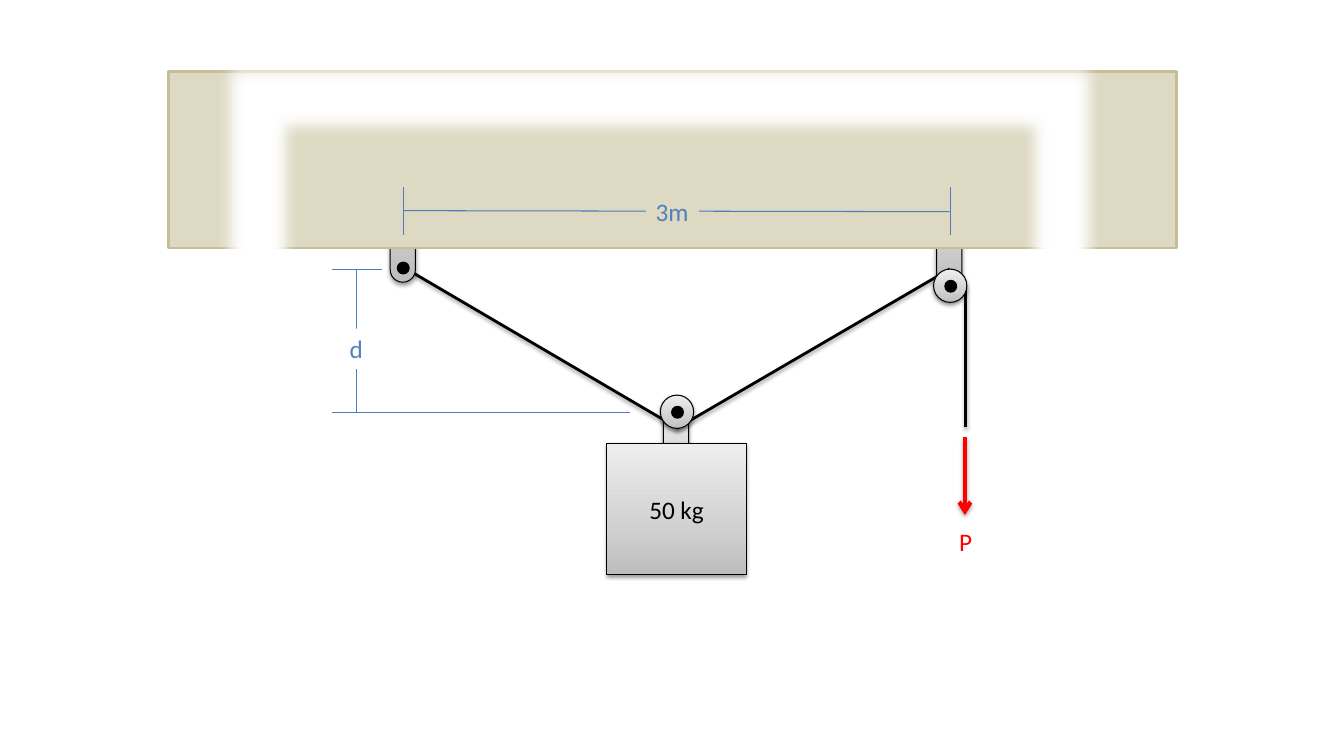
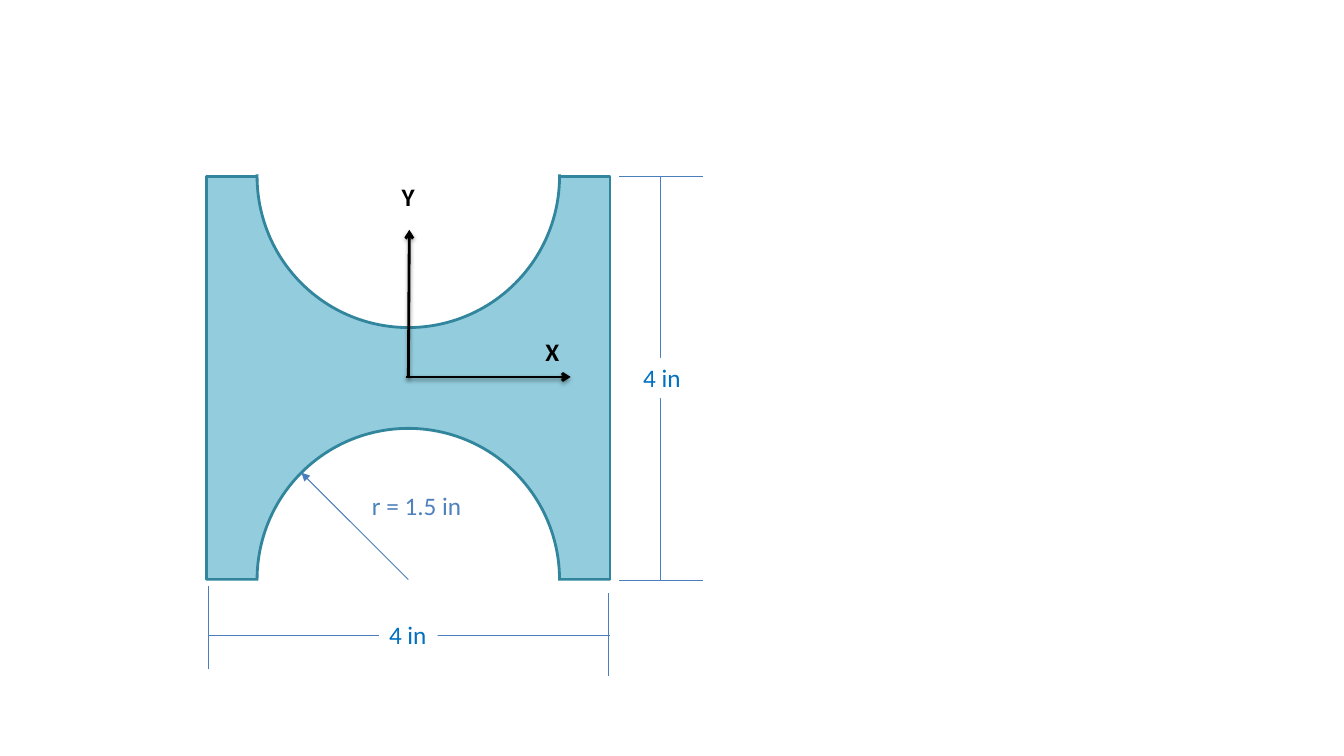
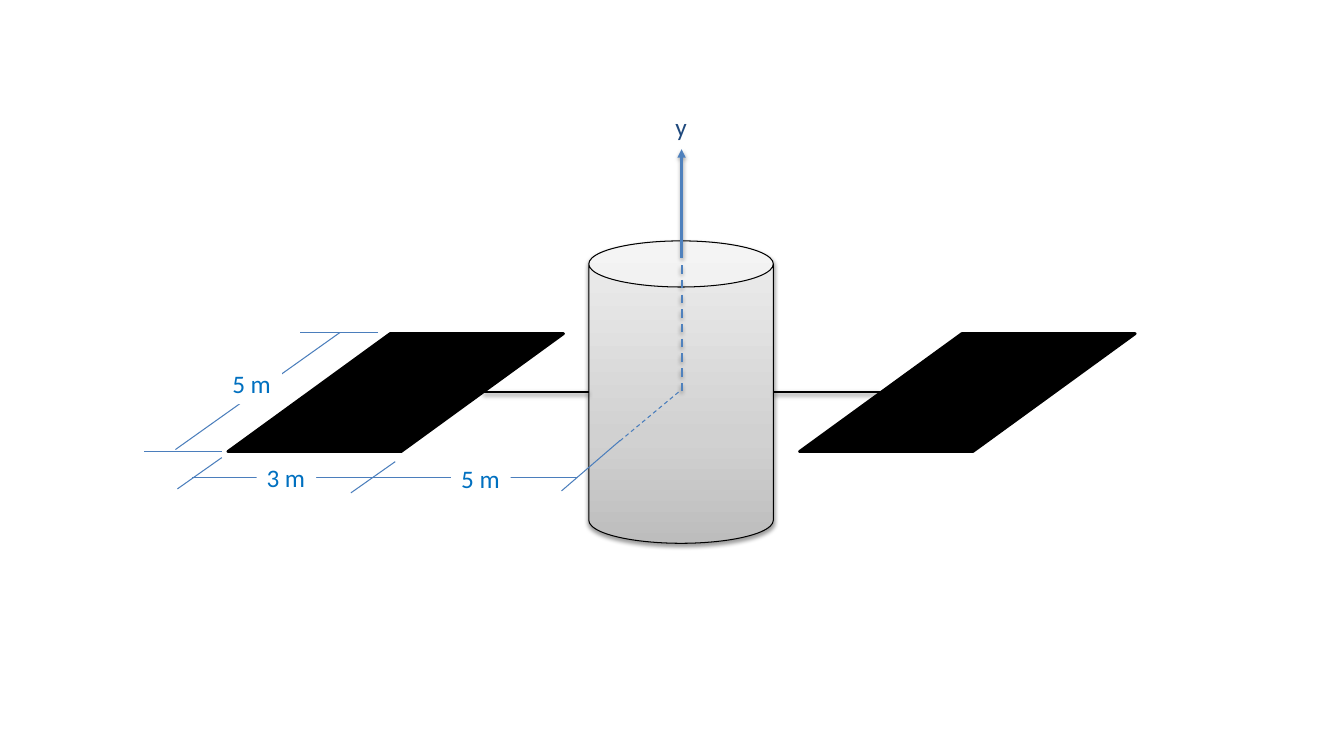
from copy import deepcopy

from lxml.etree import SubElement
from pptx import Presentation
from pptx.dml.color import RGBColor
from pptx.enum.dml import MSO_LINE
from pptx.enum.shapes import MSO_CONNECTOR, MSO_SHAPE
from pptx.enum.text import MSO_ANCHOR, PP_ALIGN
from pptx.oxml.ns import qn
from pptx.util import Inches, Pt

WHITE = RGBColor(0xFF, 0xFF, 0xFF)
BLACK = RGBColor(0x00, 0x00, 0x00)
RED = RGBColor(0xFF, 0x00, 0x00)
DIMENSION = RGBColor(0x4B, 0x7E, 0xBC)
BLUE = RGBColor(0x4F, 0x81, 0xBD)
BRIGHT_BLUE = RGBColor(0x00, 0x70, 0xC0)
NAVY = RGBColor(0x1F, 0x49, 0x7D)
SAND = RGBColor(0xDD, 0xD9, 0xC3)
SAND_EDGE = RGBColor(0xC4, 0xBD, 0x97)
AQUA = RGBColor(0x93, 0xCD, 0xDD)
TEAL = RGBColor(0x31, 0x85, 0x9C)
STEEL = [
    (0, RGBColor(0xBD, 0xBD, 0xBD)),
    (0.35, RGBColor(0xD1, 0xD1, 0xD1)),
    (1, RGBColor(0xEE, 0xEE, 0xEE)),
]
FONT = "Calibri"
LABEL_H = 0.4


def add_shadow(effects, alpha=38, dist=1.6):
    shadow = SubElement(
        effects, qn("a:outerShdw"), blurRad=str(Pt(3.1)), dist=str(Pt(dist)),
        dir="5400000", rotWithShape="0",
    )
    color = SubElement(shadow, qn("a:srgbClr"), val=str(BLACK))
    SubElement(color, qn("a:alpha"), val=str(alpha * 1000))


def add_shape(s, kind, x, y, w, h, fill, line=None, width=2, adj=None):
    sp = s.shapes.add_shape(kind, Inches(x), Inches(y), Inches(w), Inches(h))
    sp.shadow.inherit = False
    sp.fill.solid()
    sp.fill.fore_color.rgb = fill
    if line is None:
        sp.line.fill.background()
    else:
        sp.line.color.rgb = line
        sp.line.width = Pt(width)
    if adj is not None:
        sp.adjustments[0] = adj
    return sp


def add_steel(s, kind, x, y, w, h, adj=None):
    sp = add_shape(s, kind, x, y, w, h, WHITE, BLACK, 0.75, adj)
    sp.fill.gradient()
    sp.fill.gradient_angle = 90
    stops = sp._element.spPr.find(qn("a:gradFill")).find(qn("a:gsLst"))
    stops.append(deepcopy(stops[-1]))
    for stop, (position, color) in zip(sp.fill.gradient_stops, STEEL):
        stop.position = position
        stop.color.rgb = color
    add_shadow(sp._element.spPr.find(qn("a:effectLst")))
    return sp


def add_line(s, x1, y1, x2, y2, color=DIMENSION, width=0.75, head=None,
             dash=False, shadow=None):
    cn = s.shapes.add_connector(
        MSO_CONNECTOR.STRAIGHT, Inches(x1), Inches(y1), Inches(x2), Inches(y2))
    cn.line.color.rgb = color
    cn.line.width = Pt(width)
    if dash:
        cn.line.dash_style = MSO_LINE.DASH
    if head:
        SubElement(cn.line._get_or_add_ln(), qn("a:tailEnd"), type=head)
    effects = SubElement(cn._element.spPr, qn("a:effectLst"))
    if shadow:
        add_shadow(effects, *shadow)
    return cn


def write_text(sp, text, color=BLACK, bold=False, align=PP_ALIGN.LEFT,
               anchor=MSO_ANCHOR.TOP, wrap=False):
    tf = sp.text_frame
    tf.word_wrap = wrap
    tf.vertical_anchor = anchor
    p = tf.paragraphs[0]
    p.alignment = align
    r = p.add_run()
    r.text = text
    r.font.name = FONT
    r.font.size = Pt(18)
    r.font.bold = bold
    r.font.color.rgb = color


def add_label(s, cx, cy, w, text, color, fill=None, bold=False):
    sp = s.shapes.add_textbox(
        Inches(cx - w / 2), Inches(cy - LABEL_H / 2), Inches(w), Inches(LABEL_H))
    if fill is not None:
        sp.fill.solid()
        sp.fill.fore_color.rgb = fill
    write_text(sp, text, color, bold)


SOFT = (38, 1.6)
FIRM = (35, 1.8)


def add_bracket(s, cx, y, h):
    add_steel(s, MSO_SHAPE.ROUNDED_RECTANGLE, cx - 0.13, y, 0.25, h, 0.5)


def add_pin(s, cx, cy):
    add_shape(s, MSO_SHAPE.OVAL, cx - 0.05, cy - 0.05, 0.1, 0.1, BLACK, BLACK)


def add_pulley(s, cx, cy):
    add_steel(s, MSO_SHAPE.OVAL, cx - 0.17, cy - 0.17, 0.33, 0.33)
    add_pin(s, cx, cy)


def draw_cables(s, x, y, span, drop):
    mid, right, low = x + span / 2, x + span, y + drop
    add_bracket(s, right, y - 1.58, 1.88)
    add_bracket(s, mid, low - 0.12, 1.21)
    crate = add_steel(s, MSO_SHAPE.RECTANGLE, mid - 0.69, low + 0.32, 1.38, 1.3)
    write_text(crate, "50 kg", align=PP_ALIGN.CENTER, anchor=MSO_ANCHOR.MIDDLE, wrap=True)
    for x1, y1, x2, y2 in [
        (mid, low + 0.17, right, y + 0.01),
        (mid, low + 0.16, x, y - 0.01),
        (right + 0.16, low + 0.16, right + 0.16, y + 0.17),
    ]:
        add_line(s, x1, y1, x2, y2, BLACK, 2, shadow=SOFT)
    add_bracket(s, x, y - 1.74, 1.88)
    add_pin(s, x, y)
    add_pulley(s, mid + 0.01, low + 0.01)
    add_pulley(s, right + 0.01, y + 0.18)


def draw_beam(s, x, y, w, h):
    add_shape(s, MSO_SHAPE.RECTANGLE, x, y, w, h, SAND, SAND_EDGE)


def draw_cable_dimensions(s, x, y, span, drop):
    right, low = x + span, y + drop
    for tick in (x, right + 0.01):
        add_line(s, tick, y - 0.33, tick, y - 0.8)
    add_line(s, x, y - 0.57, right, y - 0.56)
    add_label(s, x + 2.67, y - 0.56, 0.53, "3m", BLUE, SAND)
    add_line(s, x - 0.71, y + 0.01, x - 0.21, y + 0.01)
    add_line(s, x + 2.25, low + 0.01, x - 0.71, low + 0.01)
    add_line(s, x - 0.46, low + 0.01, x - 0.46, y + 0.02)
    add_label(s, x - 0.46, y + 0.8, 0.34, "d", BLUE, WHITE)


def draw_pull(s, x, y, length):
    add_line(s, x, y, x, y + length, RED, 3, "arrow", shadow=FIRM)
    add_label(s, x + 0.01, y + length + 0.26, 0.33, "P", RED)


def draw_soft_frame(s, x, y, w, h):
    sp = add_shape(s, MSO_SHAPE.FRAME, x, y, w, h, WHITE, WHITE, adj=0.118)
    effects = sp._element.spPr.find(qn("a:effectLst"))
    SubElement(effects, qn("a:softEdge"), rad=str(Pt(10)))


def build_hoist(s):
    cables = (4, 2.66, 5.42, 1.42)
    draw_cables(s, *cables)
    draw_beam(s, 1.67, 0.71, 10, 1.75)
    draw_cable_dimensions(s, *cables)
    draw_pull(s, 9.57, 4.34, 0.77)
    draw_soft_frame(s, 2.17, 0.58, 8.75, 6.58)


def draw_plate(s, x, y, side, radius):
    cx, bottom = x + side / 2, y + side
    add_shape(s, MSO_SHAPE.RECTANGLE, x, y, side, side, AQUA, TEAL)
    for cy in (y, bottom):
        add_shape(s, MSO_SHAPE.OVAL, cx - radius, cy - radius,
                  2 * radius, 2 * radius, WHITE, TEAL)
    add_line(s, cx, bottom, cx - 1.06, bottom - 1.06, head="triangle")
    add_label(s, cx + 0.09, bottom - 0.73, 1.1, "r = 1.5 in", BLUE)
    add_shape(s, MSO_SHAPE.RECTANGLE, x - 0.22, bottom + 0.01, 4.43, 1.6, WHITE)


def draw_plate_dimensions(s, x, y, side):
    right, bottom = x + side, y + side
    add_line(s, x + 0.02, bottom + 0.55, right, bottom + 0.55)
    add_label(s, x + side / 2, bottom + 0.54, 0.58, "4 in", BRIGHT_BLUE, WHITE)
    for tick, top in ((right - 0.01, bottom + 0.13), (x + 0.02, bottom + 0.06)):
        add_line(s, tick, top + 0.83, tick, top)
    for tick in (bottom + 0.01, y):
        add_line(s, right + 0.09, tick, right + 0.92, tick)
    add_line(s, right + 0.5, bottom + 0.01, right + 0.5, y)
    add_label(s, right + 0.52, y + side / 2, 0.58, "4 in", BRIGHT_BLUE, WHITE)
    add_shape(s, MSO_SHAPE.RECTANGLE, x - 0.34, y - 1.62, 4.43, 1.6, WHITE)


def draw_axes(s, cx, cy):
    for x1, y1, x2, y2 in [
        (cx - 0.02, cy - 0.01, cx + 1.61, cy - 0.01),
        (cx, cy, cx + 0.01, cy - 1.47),
    ]:
        add_line(s, x1, y1, x2, y2, BLACK, 2, "arrow", shadow=SOFT)
    add_label(s, cx + 1.43, cy - 0.26, 0.34, "X", BLACK, bold=True)
    add_label(s, cx, cy - 1.8, 0.33, "Y", BLACK, bold=True)


def build_plate(s):
    x, y, side = 2.05, 1.75, 4
    draw_plate(s, x, y, side, 1.5)
    draw_plate_dimensions(s, x, y, side)
    draw_axes(s, x + side / 2, y + side / 2)


def draw_satellite(s, cx, cy):
    add_steel(s, MSO_SHAPE.CAN, cx - 0.92, cy - 1.5, 1.83, 3)
    for left in (cx - 4.5, cx + 1.17):
        add_shape(s, MSO_SHAPE.PARALLELOGRAM, left, cy - 0.58, 3.33, 1.17,
                  BLACK, BLACK, adj=1.376)
    for left in (cx - 1.97, cx + 0.92):
        add_line(s, left, cy, left + 1.05, cy, BLACK, 2, shadow=SOFT)


def draw_spin_axis(s, cx, cy):
    add_line(s, cx, cy - 1.33, cx, cy - 2.41, BLUE, 2, "triangle", shadow=SOFT)
    add_label(s, cx, cy - 2.63, 0.32, "y", NAVY)
    add_line(s, cx, cy - 1.26, cx, cy, BLUE, 1.5, dash=True, shadow=FIRM)


def draw_panel_dimensions(s, x, y):
    for left, top in ((x - 0.5, y + 0.06), (x + 1.22, y + 0.1)):
        add_line(s, left + 0.44, top, left, top + 0.31)
    add_line(s, x + 4.47, y - 0.59, x + 3.87, y - 0.09, dash=True)
    add_line(s, x + 3.89, y - 0.11, x + 3.31, y + 0.39)
    add_line(s, x + 3.46, y + 0.26, x - 0.36, y + 0.26)
    for right, tick in ((x - 0.06, y), (x + 1.49, y - 1.18)):
        add_line(s, right, tick, right - 0.77, tick)
    add_line(s, x + 1.11, y - 1.18, x - 0.52, y - 0.02)
    for cx, cy, text in [
        (x + 2.51, y + 0.27, "5 m"),
        (x + 0.58, y + 0.26, "3 m"),
        (x + 0.24, y - 0.67, "5 m"),
    ]:
        add_label(s, cx, cy, 0.59, text, BRIGHT_BLUE, WHITE)


def build_satellite(s):
    cx, cy = 6.76, 3.89
    draw_satellite(s, cx, cy)
    draw_spin_axis(s, cx, cy)
    draw_panel_dimensions(s, cx - 4.5, cy + 0.59)


def main():
    prs = Presentation()
    prs.slide_width = Inches(13.33)
    prs.slide_height = Inches(7.5)
    for build in (build_hoist, build_plate, build_satellite):
        build(prs.slides.add_slide(prs.slide_layouts[6]))
    prs.save("out.pptx")


if __name__ == "__main__":
    main()
